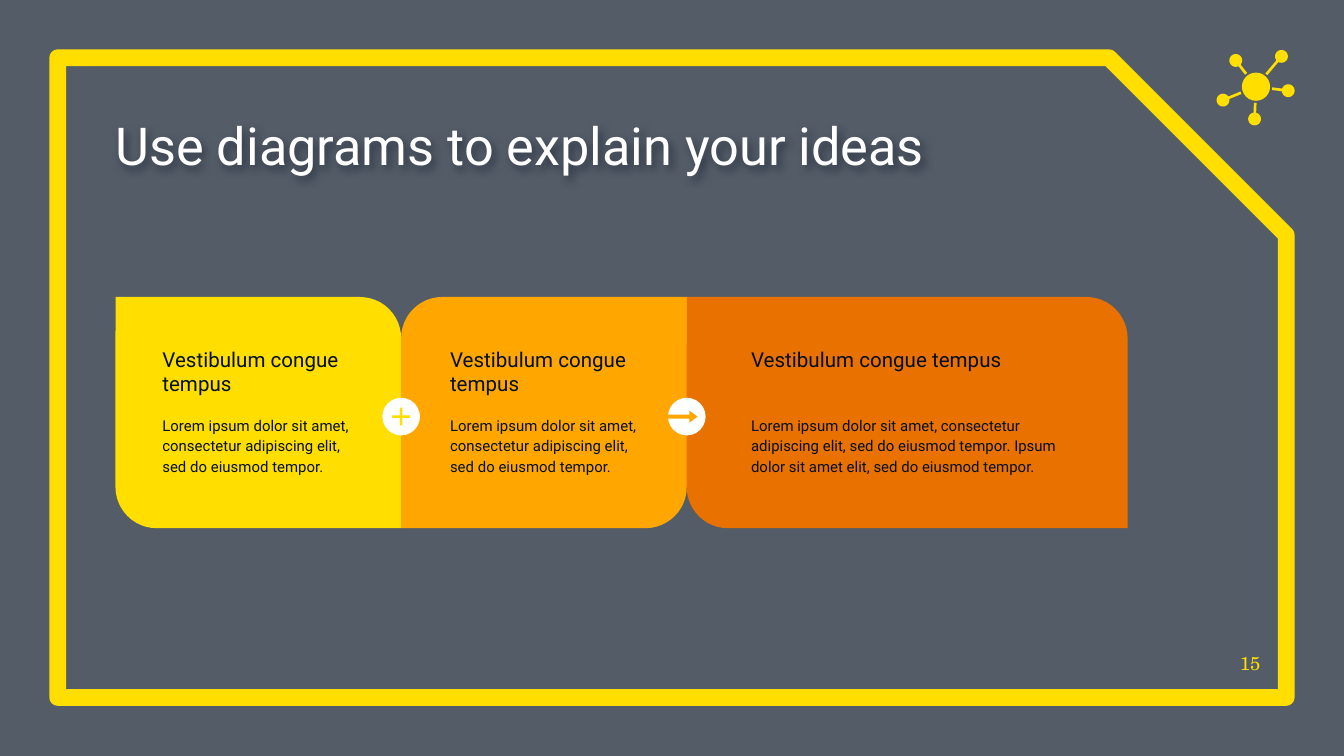
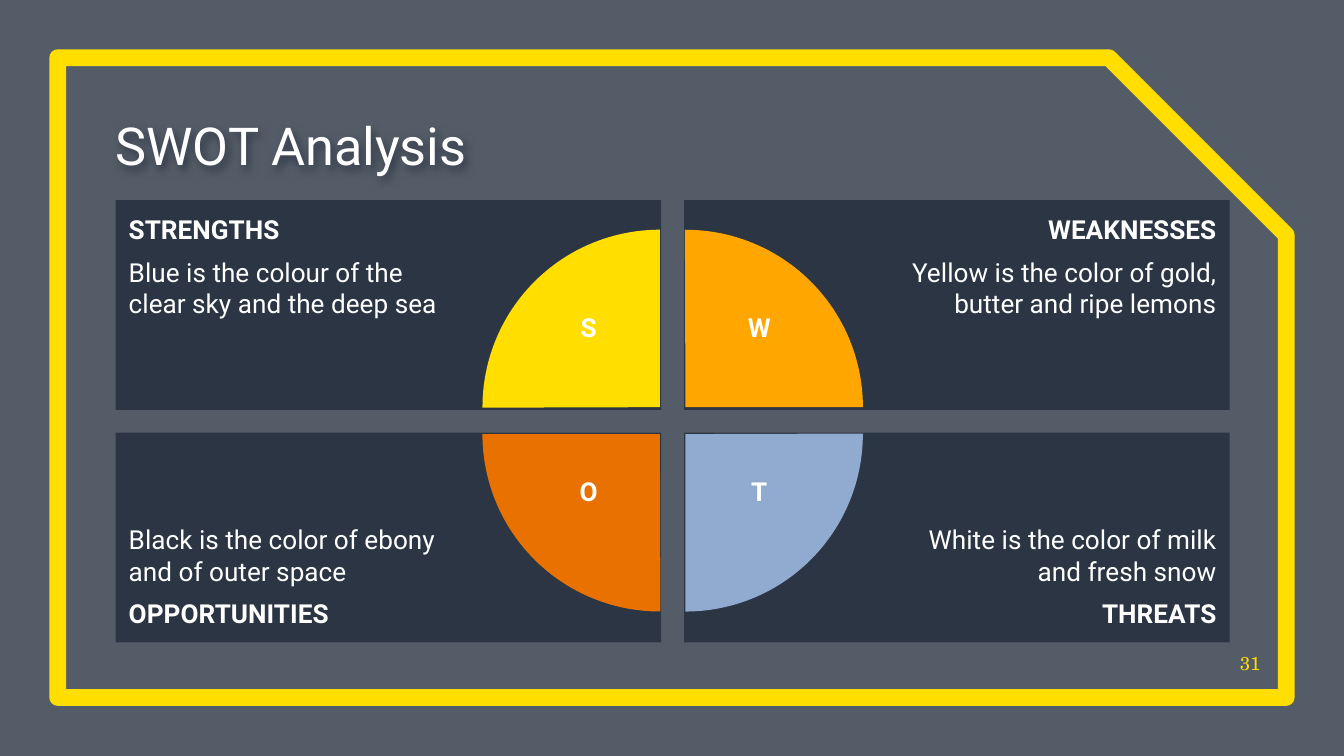
from math import atan2, cos, hypot, pi, sin

from lxml.etree import SubElement
from pptx import Presentation
from pptx.dml.color import RGBColor
from pptx.enum.shapes import MSO_SHAPE as Preset
from pptx.enum.text import MSO_ANCHOR as Anchor
from pptx.enum.text import MSO_AUTO_SIZE as AutoSize
from pptx.enum.text import PP_ALIGN as Align
from pptx.oxml.ns import qn
from pptx.util import Emu, Pt

SCALE = 4572  # EMU per px, 200 px to the inch
SLIDE_SIZE = (2000, 1125)

NAVY, WHITE = "040F20", "FFFFFF"
YELLOW, AMBER, ORANGE, BLUE = "FFDE00", "FFA700", "E97100", "91AACF"
SANS, SERIF = "Roboto", "TeX Gyre Schola"

DIAGRAM_TITLE, DIAGRAM_NUMBER = "Use diagrams to explain your ideas", "15"
LOREM = "Lorem ipsum dolor sit amet, consectetur adipiscing elit, sed do eiusmod tempor."
# colour, width, rounded corners (top left, top right), text inset, text width, heading, body
CARDS = [
    (YELLOW, 425, (0, 0.178), 50, 318, "Vestibulum congue tempus", LOREM),
    (AMBER, 425, (0.178, 0), 53, 318, "Vestibulum congue tempus", LOREM),
    (ORANGE, 656, (0, 0.178), 76, 528, "Vestibulum congue tempus",
     LOREM + " Ipsum dolor sit amet elit, sed do eiusmod tempor."),
]
# sign, offset in the badge, size, adjustments, colour
BADGES = [
    (Preset.MATH_PLUS, (10, 10), (36, 36), (0.099,), YELLOW),
    (Preset.RIGHT_ARROW, (0, 19), (44, 18), (0.32, 0.67), AMBER),
]
HUB = (1869, 129)
SATELLITES = [(1907, 84), (1839, 90), (1820, 149), (1867, 177), (1917, 135)]

SWOT_TITLE, SWOT_NUMBER = "SWOT Analysis", "31"
# letter, colour, quarter turns, heading, text
SWOT = [
    ("S", YELLOW, 0, "STRENGTHS", "Blue is the colour of the clear sky and the deep sea"),
    ("W", AMBER, 1, "WEAKNESSES", "Yellow is the color of gold, butter and ripe lemons"),
    ("O", ORANGE, 3, "OPPORTUNITIES", "Black is the color of ebony and of outer space"),
    ("T", BLUE, 2, "THREATS", "White is the color of milk and fresh snow"),
]


def px(*lengths):
    return [Emu(round(length * SCALE)) for length in lengths]


def rgb(color):
    return RGBColor.from_string(color)


def paint(shape, color, alpha=None):
    """Fill a shape flat, without line or shadow; alpha is in percent."""
    shape.shadow.inherit = False
    shape.fill.solid()
    shape.fill.fore_color.rgb = rgb(color)
    shape.line.fill.background()
    if alpha:
        solid = shape.element.find(".//" + qn("a:srgbClr"))
        SubElement(solid, qn("a:alpha"), val=str(alpha * 1000))
    return shape


def add_preset(shapes, preset, box, color, adjustments=(), alpha=None):
    shape = shapes.add_shape(preset, *px(*box))
    for index, value in enumerate(adjustments):
        shape.adjustments[index] = value
    return paint(shape, color, alpha)


def set_frame(frame, insets, anchor=Anchor.TOP):
    frame.word_wrap = True
    frame.auto_size = AutoSize.NONE
    frame.vertical_anchor = anchor
    (frame.margin_left, frame.margin_top,
     frame.margin_right, frame.margin_bottom) = px(*insets)


def set_paragraph(paragraph, text, size, color, align=Align.LEFT, bold=False, face=SANS):
    paragraph.text = text
    paragraph.alignment = align
    font = paragraph.font
    font.name, font.size, font.bold = face, Pt(size), bold
    font.color.rgb = rgb(color)
    return paragraph


def add_label(slide, box, text, size, color, insets=(20, 20, 20, 20), anchor=Anchor.TOP, **style):
    frame = slide.shapes.add_textbox(*px(*box)).text_frame
    set_frame(frame, insets, anchor)
    return set_paragraph(frame.paragraphs[0], text, size, color, **style)


def add_backdrop(layout, slide):
    """Draw the tinted ground and the cut frame, then hand them to the layout."""
    ground = add_preset(slide.shapes, Preset.RECTANGLE, (0, 0, *SLIDE_SIZE), NAVY, alpha=68)
    border = add_preset(slide.shapes, Preset.SNIP_1_RECTANGLE, (86, 86, 1828, 952), NAVY, (0.277,))
    border.fill.background()
    border.line.color.rgb = rgb(YELLOW)
    border.line.width = Pt(9)
    for index, shape in enumerate((ground, border), start=2):
        layout.shapes.element.insert(index, shape.element)


def add_title_and_number(slide, text, number):
    title = slide.shapes.title
    title.left, title.top, title.width, title.height = px(172, 156, 1470, 106)
    set_frame(title.text_frame, (0, 0, 0, 0), Anchor.BOTTOM)
    set_paragraph(title.text_frame.paragraphs[0], text, 28, WHITE)
    effects = SubElement(title.element.spPr, qn("a:effectLst"))
    shadow = SubElement(effects, qn("a:outerShdw"), blurRad="57150", dist="28575",
                        dir="3000000", algn="bl", rotWithShape="0")
    shade = SubElement(shadow, qn("a:srgbClr"), val=NAVY)
    SubElement(shade, qn("a:alpha"), val="50000")
    add_label(slide, (1822, 948, 54, 56), number, 10, YELLOW, (0, 0, 0, 0),
              Anchor.BOTTOM, align=Align.RIGHT, face=SERIF)


def add_satellite(shapes, center, radius=9.5, gap=24, half_width=2):
    """Outline a small disc together with its spoke towards the hub."""
    (x, y), (hub_x, hub_y) = center, HUB
    toward = atan2(hub_y - y, hub_x - x)
    reach = hypot(hub_x - x, hub_y - y) - gap
    opening, steps = half_width / radius, 40
    turns = [toward + opening + (2 * pi - 2 * opening) * i / steps for i in range(steps + 1)]
    points = [(x + radius * cos(turn), y + radius * sin(turn)) for turn in turns]
    points += [(x + reach * cos(toward) - side * sin(toward),
                y + reach * sin(toward) + side * cos(toward))
               for side in (-half_width, half_width)]
    first, *rest = [px(*point) for point in points]
    builder = shapes.build_freeform(*first, scale=1.0)
    builder.add_line_segments(rest, close=True)
    paint(builder.convert_to_shape(), YELLOW)


def add_network_icon(slide, radius=21):
    icon = slide.shapes.add_group_shape().shapes
    for center in SATELLITES:
        add_satellite(icon, center)
    add_preset(icon, Preset.OVAL,
               (HUB[0] - radius, HUB[1] - radius, 2 * radius, 2 * radius), YELLOW)


def fill_diagram(slide):
    add_network_icon(slide)
    left, joints = 172, []
    for color, width, corners, inset, text_width, heading, body in CARDS:
        add_preset(slide.shapes, Preset.ROUND_2_DIAG_RECTANGLE,
                   (left, 442, width, 344), color, corners)
        add_label(slide, (left + inset, 496, text_width, 100), heading, 11, NAVY)
        text = add_label(slide, (left + inset, 596, text_width, 112), body, 8, NAVY)
        text.line_spacing, text.space_after = 1.15, Pt(16)
        left += width
        joints.append(left)
    for joint, (sign, (dx, dy), size, adjustments, color) in zip(joints, BADGES):
        x, y = joint - 28, 592
        add_preset(slide.shapes, Preset.OVAL, (x, y, 56, 56), WHITE)
        add_preset(slide.shapes, sign, (x + dx, y + dy, *size), color, adjustments)


def add_panel(slide, row, column, heading, text):
    panel = add_preset(slide.shapes, Preset.RECTANGLE,
                       (172 + 846 * column, 298 + 346 * row, 812, 312), NAVY, alpha=50)
    frame = panel.text_frame
    set_frame(frame, (300, 20, 20, 20) if column else (20, 20, 300, 20),
              Anchor.BOTTOM if row else Anchor.TOP)
    lines = [(heading, True), (text, False)]
    if row:
        lines.reverse()
    align = Align.RIGHT if column else Align.LEFT
    for index, (line, bold) in enumerate(lines):
        paragraph = frame.add_paragraph() if index else frame.paragraphs[0]
        set_paragraph(paragraph, line, 14, WHITE, align, bold)
        if index:
            paragraph.space_before = paragraph.space_after = Pt(6)


def fill_swot(slide):
    cells = [(*divmod(index, 2), *entry) for index, entry in enumerate(SWOT)]
    for row, column, _, _, _, heading, text in cells:
        add_panel(slide, row, column, heading, text)
    for row, column, _, color, turns, _, _ in cells:
        pie = add_preset(slide.shapes, Preset.PIE,
                         (718 + 38 * column, 342 + 40 * row, 528, 528), color, (107.89, 162))
        pie.rotation = 90 * turns
    for row, column, letter, *_ in cells:
        add_label(slide, (832 + 254 * column, 454 + 243 * row, 88, 96), letter, 14, WHITE,
                  (20, 10, 20, 10), align=Align.CENTER, bold=True)


def main():
    deck = Presentation()
    deck.slide_width, deck.slide_height = px(*SLIDE_SIZE)
    layout = deck.slide_layouts.get_by_name("Title Only")
    pages = [(DIAGRAM_TITLE, DIAGRAM_NUMBER, fill_diagram),
             (SWOT_TITLE, SWOT_NUMBER, fill_swot)]
    for index, (title, number, fill) in enumerate(pages):
        slide = deck.slides.add_slide(layout)
        if index == 0:
            add_backdrop(layout, slide)
        add_title_and_number(slide, title, number)
        fill(slide)
    deck.save("out.pptx")


if __name__ == "__main__":
    main()
